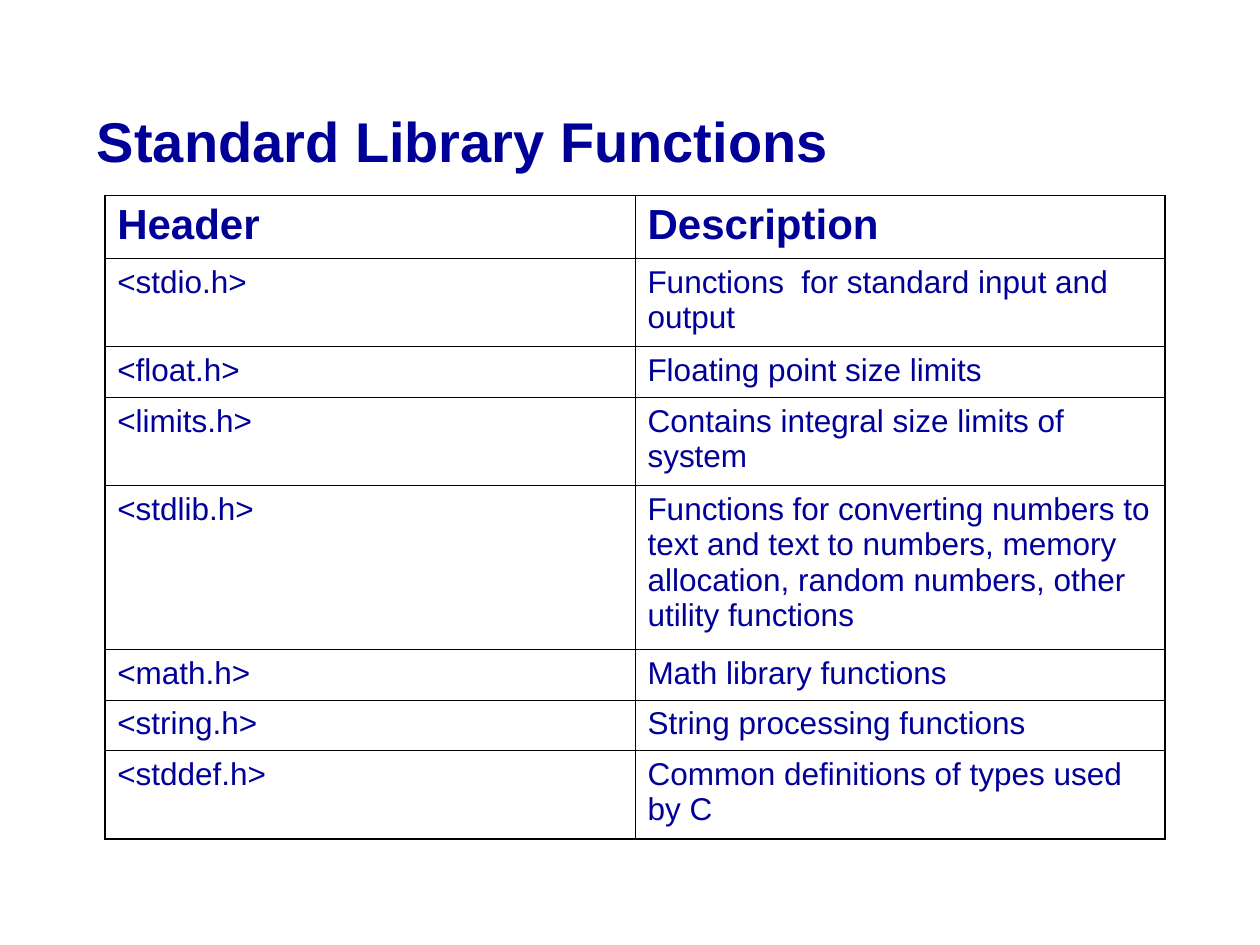
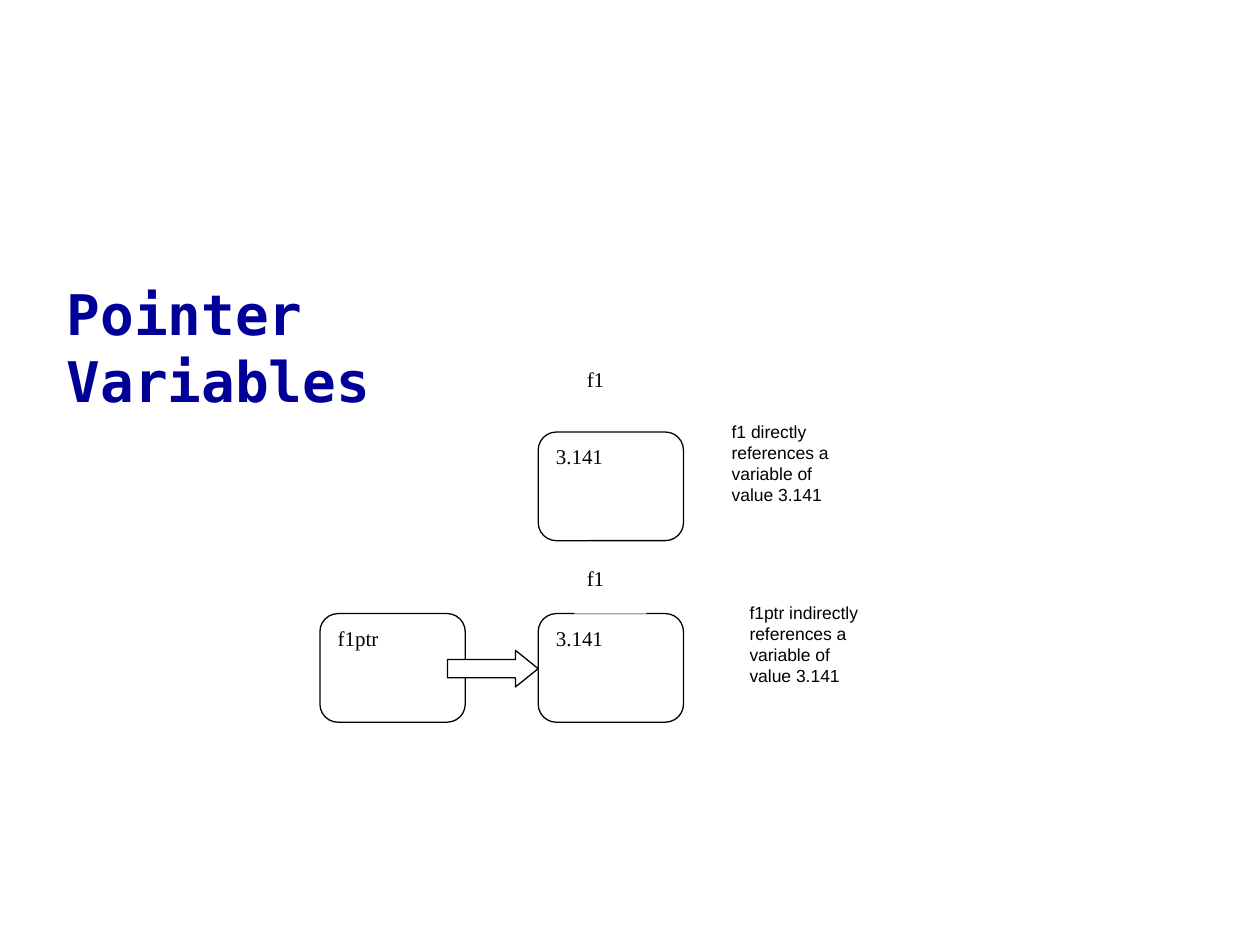
"""Builds two slides on C: the standard library headers and pointer variables."""
import pptx
import pptx.dml.color
import pptx.enum.shapes
import pptx.enum.text
import pptx.oxml
import pptx.oxml.ns
import pptx.util

Cm = pptx.util.Cm
Pt = pptx.util.Pt
SHAPE = pptx.enum.shapes.MSO_SHAPE
ANCHOR = pptx.enum.text.MSO_ANCHOR
NAVY, BLACK, WHITE = "000099", "000000", "FFFFFF"
SERIF, SANS, MONO = "Times New Roman", "Arial", "DejaVu Sans Mono"


def color(hex_code):
    return pptx.dml.color.RGBColor.from_string(hex_code)


def write(frame, text, font_name, size, hex_code, bold=False, anchor=ANCHOR.TOP):
    frame.text = text
    frame.word_wrap = True
    frame.vertical_anchor = anchor
    para = frame.paragraphs[0]
    para.alignment = pptx.enum.text.PP_ALIGN.LEFT
    para.font.name = font_name
    para.font.size = Pt(size)
    para.font.bold = bold
    para.font.color.rgb = color(hex_code)


deck = pptx.Presentation()
deck.slide_width, deck.slide_height = Cm(25.4), Cm(19.05)

titles = [
    ("Standard Library Functions", SANS, ANCHOR.MIDDLE, (1.7, 2.13, 21.59, 1.4)),
    ("Pointer Variables", MONO, ANCHOR.TOP, (1.09, 5.51, 10.21, 1.63)),
]
pages = []
for text, font_name, anchor, place in titles:
    page = deck.slides.add_slide(deck.slide_layouts[5])
    title = page.shapes.title
    title.left, title.top, title.width, title.height = [Cm(value) for value in place]
    write(title.text_frame, text, font_name, 32, NAVY, True, anchor)
    title.text_frame.auto_size = pptx.enum.text.MSO_AUTO_SIZE.NONE
    pages.append(page)
library_page, pointer_page = pages

headers = [
    (1.27, "Header", "Description"),
    (1.78, "<stdio.h>", "Functions  for standard input and output"),
    (1.02, "<float.h>", "Floating point size limits"),
    (1.78, "<limits.h>", "Contains integral size limits of system"),
    (3.3, "<stdlib.h>", "Functions for converting numbers to text and text to numbers, "
                        "memory allocation, random numbers, other utility functions"),
    (1.02, "<math.h>", "Math library functions"),
    (1.02, "<string.h>", "String processing functions"),
    (1.78, "<stddef.h>", "Common definitions of types used by C"),
]
table_height = sum(height for height, *texts in headers)
table = library_page.shapes.add_table(
    len(headers), 2, Cm(2.11), Cm(3.94), Cm(21.38), Cm(table_height)).table
table.first_row = table.horz_banding = False
for column in table.columns:
    column.width = Cm(10.69)

for row, (height, *texts) in enumerate(headers):
    table.rows[row].height = Cm(height)
    for col, text in enumerate(texts):
        cell = table.cell(row, col)
        is_heading = row == 0
        write(cell.text_frame, text, SANS, 24 if is_heading else 18, NAVY, is_heading)
        outer_edges = {"L": col == 0, "R": col == 1, "T": is_heading, "B": row == len(headers) - 1}
        for side, is_outer in outer_edges.items():
            width = Pt(1.08 if is_outer else 0.45)
            cell._tc.get_or_add_tcPr().append(pptx.oxml.parse_xml(
                f'<a:ln{side} {pptx.oxml.ns.nsdecls("a")} w="{width}"><a:solidFill>'
                f'<a:srgbClr val="{BLACK}"/></a:solidFill></a:ln{side}>'))
        cell.fill.background()

box_size, label_size = (2.93, 2.19), (1.45, 1.09)
diagram = [
    (SHAPE.ROUNDED_RECTANGLE, 6.45, 12.37, box_size, "f1ptr", SERIF, 12),
    (SHAPE.RIGHT_ARROW, 9.02, 13.11, (1.83, 0.74), "", SERIF, 12),
    (SHAPE.ROUNDED_RECTANGLE, 10.85, 12.37, box_size, "3.141", SERIF, 12),
    (SHAPE.RECTANGLE, 11.58, 11.28, label_size, "f1", SERIF, 12),
    (SHAPE.ROUNDED_RECTANGLE, 10.85, 8.71, box_size, "3.141", SERIF, 12),
    (SHAPE.RECTANGLE, 11.58, 7.26, label_size, "f1", SERIF, 12),
    (SHAPE.RECTANGLE, 14.5, 8.36, (2.93, 2.57),
     "f1 directly references a variable of value 3.141", SANS, 10),
    (SHAPE.RECTANGLE, 14.86, 12.01, (2.93, 3.28),
     "f1ptr indirectly references a variable of value 3.141", SANS, 10),
]
for kind, left, top, (width, height), text, font_name, size in diagram:
    box = pointer_page.shapes.add_shape(kind, Cm(left), Cm(top), Cm(width), Cm(height))
    box.shadow.inherit = False
    box.fill.solid()
    box.fill.fore_color.rgb = color(WHITE)
    if kind == SHAPE.RECTANGLE:
        box.line.fill.background()
    else:
        box.line.color.rgb = color(BLACK)
        box.line.width = Pt(0.75)
    if kind == SHAPE.RIGHT_ARROW:
        box.adjustments[1] = 0.62
    if text:
        write(box.text_frame, text, font_name, size, BLACK)

deck.save("out.pptx")
